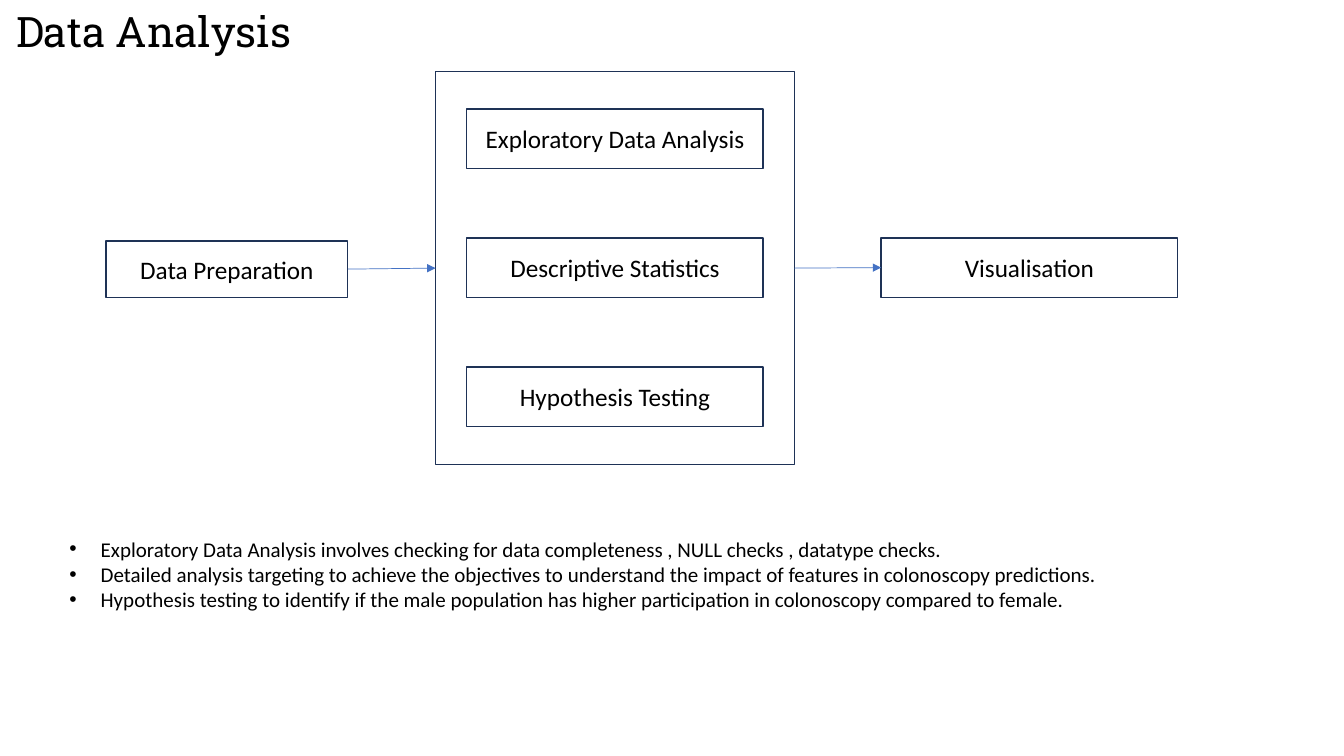
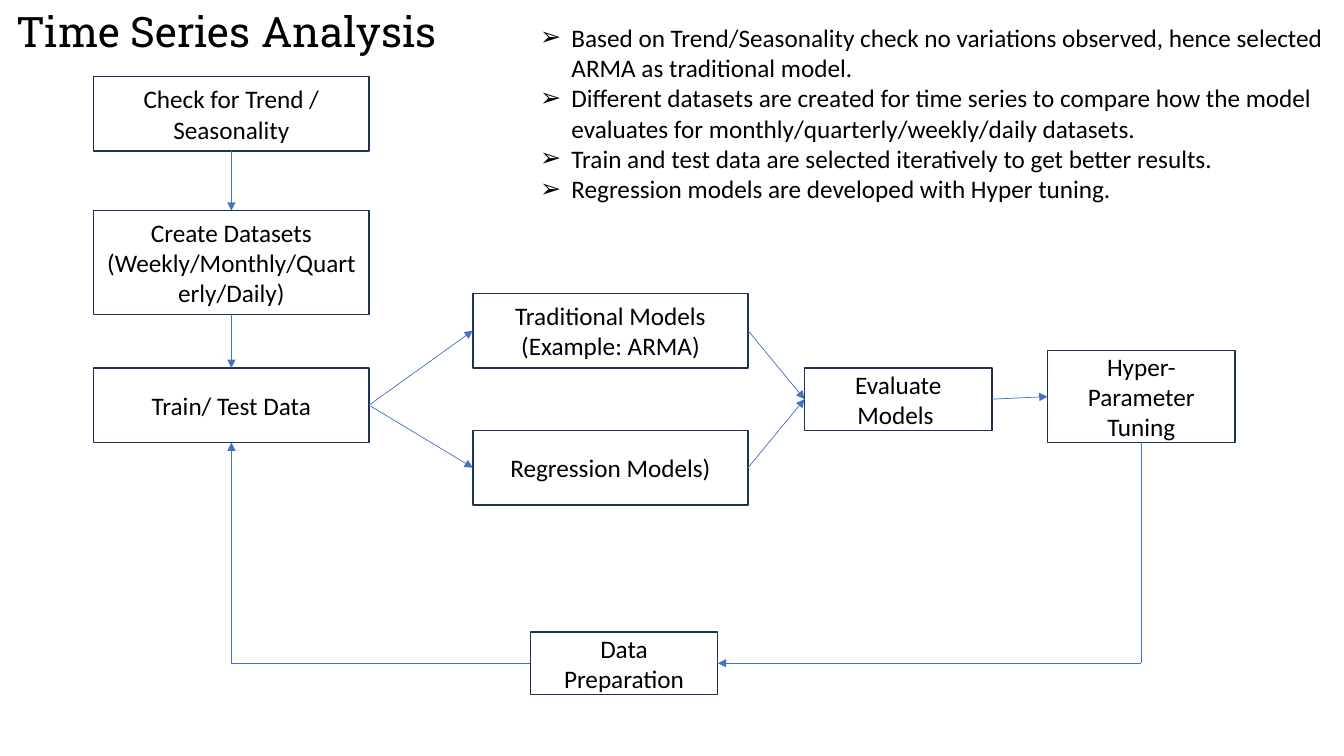
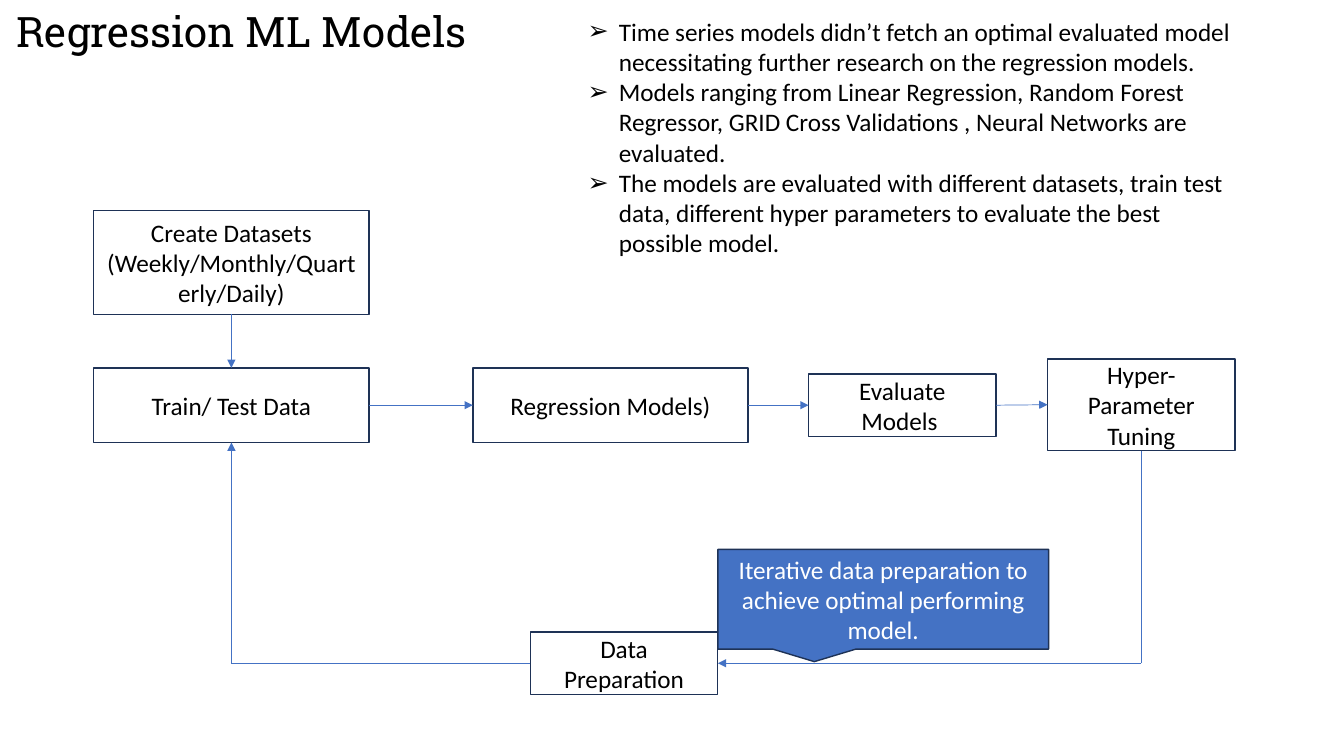
import lxml.etree
import pptx
import pptx.dml.color
import pptx.enum.shapes
import pptx.enum.text
import pptx.oxml.ns
import pptx.util

Inches = pptx.util.Inches
Pt = pptx.util.Pt
qn = pptx.oxml.ns.qn
SHAPES = pptx.enum.shapes.MSO_SHAPE
ALIGN = pptx.enum.text.PP_ALIGN
ANCHOR = pptx.enum.text.MSO_ANCHOR
FIT = pptx.enum.text.MSO_AUTO_SIZE.SHAPE_TO_FIT_TEXT

# Connection sites of a rectangle
TOP, LEFT, BOTTOM, RIGHT = range(4)


def color(value):
    return pptx.dml.color.RGBColor.from_string(value)


class Deck:
    """Shared style and the slide being built."""

    TITLE_FONT, BODY_FONT = "Roboto Slab", "Calibri"
    TEXT, PAPER, OUTLINE, ACCENT = "000000", "FFFFFF", "1E3256", "4472C4"

    def __init__(self):
        self.presentation = pptx.Presentation()
        self.presentation.slide_width = Inches(13.33)
        self.presentation.slide_height = Inches(7.5)
        self.slide = None

    def style(self, paragraph, size, font=BODY_FONT, text_color=TEXT):
        paragraph.font.name = font
        paragraph.font.size = Pt(size)
        paragraph.font.color.rgb = color(text_color)

    def new_slide(self, title, title_width):
        layout = self.presentation.slide_layouts.get_by_name("Title Only")
        self.slide = self.presentation.slides.add_slide(layout)
        shape = self.slide.shapes.title
        shape.left, shape.top = Inches(0.06), Inches(0)
        shape.width, shape.height = Inches(title_width), Inches(0.61)
        frame = shape.text_frame
        frame.text = title
        frame.word_wrap = True
        frame.auto_size = FIT
        frame.vertical_anchor = ANCHOR.TOP
        paragraph = frame.paragraphs[0]
        paragraph.alignment = ALIGN.LEFT
        self.style(paragraph, 30, self.TITLE_FONT)

    def box(self, left, top, width, height, text="", kind=SHAPES.RECTANGLE,
            fill=PAPER, text_color=TEXT):
        shape = self.slide.shapes.add_shape(
            kind, Inches(left), Inches(top), Inches(width), Inches(height))
        shape.shadow.inherit = False
        shape.fill.solid()
        shape.fill.fore_color.rgb = color(fill)
        shape.line.color.rgb = color(self.OUTLINE)
        shape.line.width = Pt(1)
        if text:
            frame = shape.text_frame
            frame.text = text
            frame.word_wrap = True
            frame.vertical_anchor = ANCHOR.MIDDLE
            paragraph = frame.paragraphs[0]
            paragraph.alignment = ALIGN.CENTER
            self.style(paragraph, 18, text_color=text_color)
        return shape

    def bullets(self, left, top, width, height, items, mark="➢", size=18):
        shape = self.slide.shapes.add_textbox(
            Inches(left), Inches(top), Inches(width), Inches(height))
        frame = shape.text_frame
        frame.text = "\n".join(items)
        frame.word_wrap = True
        frame.auto_size = FIT
        for paragraph in frame.paragraphs:
            properties = paragraph._p.get_or_add_pPr()
            properties.set("marL", str(Inches(0.31)))
            properties.set("indent", str(-Inches(0.31)))
            lxml.etree.SubElement(properties, qn("a:buFont"), typeface="Arial")
            lxml.etree.SubElement(properties, qn("a:buChar"), char=mark)
            self.style(paragraph, size)

    def line(self, start, end, arrow=True):
        """Each end is (shape, site) or a corner point (x, y)."""
        connector = self.slide.shapes.add_connector(
            pptx.enum.shapes.MSO_CONNECTOR.STRAIGHT, 0, 0, 0, 0)
        if isinstance(start[0], int):
            connector.begin_x, connector.begin_y = start
        else:
            connector.begin_connect(*start)
        if isinstance(end[0], int):
            connector.end_x, connector.end_y = end
        else:
            connector.end_connect(*end)
        connector.line.color.rgb = color(self.ACCENT)
        connector.line.width = Pt(0.5)
        properties = connector.element.spPr
        if arrow:
            lxml.etree.SubElement(
                properties.find(qn("a:ln")), qn("a:tailEnd"), type="triangle")
        lxml.etree.SubElement(properties, qn("a:effectLst"))

    def flow(self, source, target):
        self.line((source, RIGHT), (target, LEFT))

    def drop(self, source, target):
        self.line((source, BOTTOM), (target, TOP))

    def data_steps(self):
        train = self.box(0.93, 3.65, 2.73, 0.74, "Train/ Test Data")
        datasets = self.box(0.93, 2.09, 2.73, 1.03,
                            "Create Datasets (Weekly/Monthly/Quarterly/Daily)")
        self.drop(datasets, train)
        return datasets, train

    def feedback_loop(self, tuning, train):
        preparation = self.box(5.26, 6.27, 1.86, 0.62, "Data Preparation")
        level = preparation.top + preparation.height // 2
        right_corner = (tuning.left + tuning.width // 2, level)
        left_corner = (train.left + train.width // 2, level)
        self.line((tuning, BOTTOM), right_corner, arrow=False)
        self.line(right_corner, (preparation, RIGHT))
        self.line((preparation, LEFT), left_corner, arrow=False)
        self.line(left_corner, (train, BOTTOM))


deck = Deck()

# Slide 1: analysis stages
deck.new_slide("Data Analysis", 7.41)
preparation = deck.box(1.05, 2.39, 2.4, 0.56, "Data Preparation")
analysis = deck.box(4.32, 0.71, 3.56, 3.9)
stages = ["Exploratory Data Analysis", "Descriptive Statistics", "Hypothesis Testing"]
for row, stage in enumerate(stages):
    deck.box(4.63, 1.08 + 1.28 * row, 2.94, 0.59, stage)
visualisation = deck.box(8.74, 2.36, 2.94, 0.59, "Visualisation")
deck.flow(preparation, analysis)
deck.flow(analysis, visualisation)
deck.bullets(0.59, 5.27, 11.28, 0.86, [
    "Exploratory Data Analysis involves checking for data completeness , "
    "NULL checks , datatype checks.",
    "Detailed analysis targeting to achieve the objectives to understand the "
    "impact of features in colonoscopy predictions.",
    "Hypothesis testing to identify if the male population has higher "
    "participation in colonoscopy compared to female.",
], mark="•", size=15)

# Slide 2: time series workflow
deck.new_slide("Time Series Analysis", 4.47)
trend = deck.box(0.93, 0.76, 2.73, 0.74, "Check for Trend / Seasonality")
datasets, train = deck.data_steps()
deck.drop(trend, datasets)
traditional = deck.box(4.69, 2.91, 2.73, 0.74, "Traditional Models (Example: ARMA)")
regression = deck.box(4.69, 4.27, 2.73, 0.74, "Regression Models)")
evaluate = deck.box(7.98, 3.65, 1.86, 0.62, "Evaluate Models ")
tuning = deck.box(10.39, 3.48, 1.86, 0.91, "Hyper-Parameter Tuning")
for model in (traditional, regression):
    deck.flow(train, model)
    deck.flow(model, evaluate)
deck.flow(evaluate, tuning)
deck.feedback_loop(tuning, train)
deck.bullets(5.26, 0.17, 8.07, 1.92, [
    "Based on Trend/Seasonality check no variations observed, hence selected "
    "ARMA as traditional model.",
    "Different datasets are created for time series to compare how the model "
    "evaluates for monthly/quarterly/weekly/daily datasets.",
    "Train and test data are selected iteratively to get better results.",
    "Regression models are developed with Hyper tuning.",
])

# Slide 3: regression workflow
deck.new_slide("Regression ML Models", 5.66)
datasets, train = deck.data_steps()
regression = deck.box(4.69, 3.65, 2.73, 0.74, "Regression Models)")
evaluate = deck.box(8.02, 3.71, 1.86, 0.62, "Evaluate Models ")
tuning = deck.box(10.39, 3.56, 1.86, 0.91, "Hyper-Parameter Tuning")
deck.flow(train, regression)
deck.flow(regression, evaluate)
deck.flow(evaluate, tuning)
deck.feedback_loop(tuning, train)
deck.box(7.12, 5.45, 3.28, 0.99,
         "Iterative data preparation to achieve optimal performing model.",
         SHAPES.RECTANGULAR_CALLOUT, deck.ACCENT, deck.PAPER)
deck.bullets(5.73, 0.11, 6.67, 2.52, [
    "Time series models didn’t fetch an optimal evaluated model necessitating "
    "further research on the regression models.",
    "Models ranging from Linear Regression, Random Forest Regressor, GRID Cross "
    "Validations , Neural Networks are evaluated.",
    "The models are evaluated with different datasets, train test data, different "
    "hyper parameters to evaluate the best possible model.",
])

deck.presentation.save("out.pptx")
